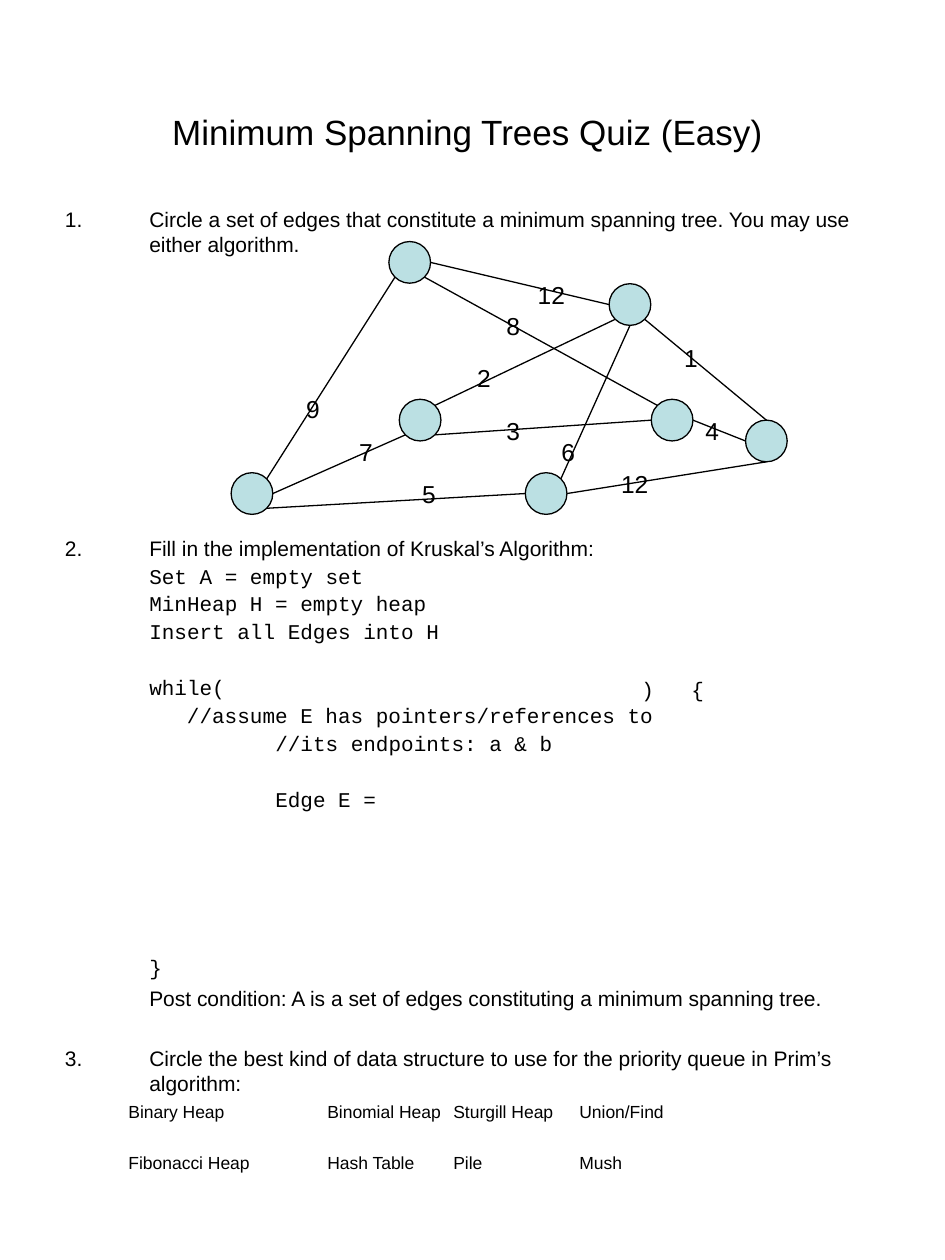
from dataclasses import dataclass
from math import cos, pi, sin

from lxml import etree
from pptx import Presentation
from pptx.dml.color import RGBColor
from pptx.enum.shapes import MSO_CONNECTOR, MSO_SHAPE
from pptx.enum.text import MSO_ANCHOR, PP_ALIGN
from pptx.oxml.ns import qn
from pptx.util import Cm, Pt

OVAL = MSO_SHAPE.OVAL
LINE = MSO_CONNECTOR.STRAIGHT
TOP, MIDDLE = MSO_ANCHOR.TOP, MSO_ANCHOR.MIDDLE
LEFT, CENTER = PP_ALIGN.LEFT, PP_ALIGN.CENTER


@dataclass(frozen=True)
class Theme:
    ink: RGBColor = RGBColor(0, 0, 0)
    node: RGBColor = RGBColor(0xBB, 0xE0, 0xE3)
    sans: str = "Arial"
    mono: str = "Courier New"
    title: float = 20
    weight: float = 14
    body: float = 12
    choice: float = 10
    line: float = 0.75


@dataclass(frozen=True)
class Box:
    x: float
    y: float
    w: float
    h: float


@dataclass(frozen=True)
class Node:
    x: float
    y: float


@dataclass(frozen=True)
class Edge:
    start: str
    out: int
    end: str
    into: int
    weight: str
    x: float
    y: float


@dataclass(frozen=True)
class Para:
    text: str
    gap: float = 3
    number: int = 0
    code: bool = False
    indent: float = 1.7


THEME = Theme()
RADIUS = 0.42
HANG = 1.7
DEEP = HANG + 2.54

NODES = {
    "A": Node(5.08, 9.95),
    "B": Node(8.47, 8.47),
    "C": Node(15.45, 8.89),
    "D": Node(8.26, 5.29),
    "E": Node(11.01, 9.95),
    "F": Node(12.7, 6.14),
    "G": Node(13.55, 8.47),
}

EDGES = [
    Edge("A", 7, "D", 3, "9", 5.92, 7.82),
    Edge("A", 6, "B", 3, "7", 6.99, 8.69),
    Edge("A", 5, "E", 2, "5", 8.26, 9.53),
    Edge("B", 7, "F", 3, "2", 9.37, 7.19),
    Edge("B", 5, "G", 2, "3", 9.96, 8.26),
    Edge("G", 6, "C", 2, "4", 13.97, 8.26),
    Edge("D", 6, "F", 2, "12", 10.59, 5.51),
    Edge("E", 7, "F", 4, "6", 11.07, 8.69),
    Edge("D", 5, "G", 1, "8", 9.96, 6.15),
    Edge("E", 6, "C", 4, "12", 12.27, 9.32),
    Edge("C", 0, "F", 5, "1", 13.54, 6.78),
]

PARAS = [
    Para("Circle a set of edges that constitute a minimum spanning tree. "
         "You may use either algorithm.", gap=0, number=1),
    Para("Fill in the implementation of Kruskal’s Algorithm:", gap=159, number=2),
    Para("Set A = empty set", code=True),
    Para("MinHeap H = empty heap", code=True),
    Para("Insert all Edges into H", code=True),
    Para("while(", gap=19, code=True),
    Para("//assume E has pointers/references to", code=True, indent=HANG + 0.76),
    Para("//its endpoints: a & b", code=True, indent=DEEP),
    Para("Edge E =", gap=19, code=True, indent=DEEP),
    Para("}", gap=83, code=True),
    Para("Post condition: A is a set of edges constituting a minimum spanning tree."),
    Para("Circle the best kind of data structure to use for the priority queue "
         "in Prim’s algorithm:", gap=20, number=3),
]

CHOICES = [
    ["Binary Heap", "Binomial Heap", "Sturgill Heap", "Union/Find"],
    ["Fibonacci Heap", "Hash Table", "Pile", "Mush"],
]
COLS = [2.59, 6.6, 9.14, 11.68]
ROWS = [22.2, 23.23]


def style(para, size: float, font: str) -> None:
    for run in para.runs:
        run.font.size = Pt(size)
        run.font.name = font
        run.font.color.rgb = THEME.ink


def add_text(slide, box: Box, text: str, size: float, font: str = THEME.sans,
             pad: tuple = (0, 0), wrap: bool = False, align=LEFT, anchor=TOP):
    shape = slide.shapes.add_textbox(Cm(box.x), Cm(box.y), Cm(box.w), Cm(box.h))
    frame = shape.text_frame
    frame.margin_left = frame.margin_right = Cm(pad[0])
    frame.margin_top = frame.margin_bottom = Cm(pad[1])
    frame.word_wrap = wrap
    frame.vertical_anchor = anchor
    frame.text = text
    frame.paragraphs[0].alignment = align
    style(frame.paragraphs[0], size, font)
    return frame


def add_body(slide) -> None:
    frame = add_text(slide, Box(1.06, 3.39, 17.15, 20.95), "", THEME.body,
                     pad=(0.25, 0.13), wrap=True)
    frame.margin_top = Cm(0.78)
    for index, item in enumerate(PARAS):
        para = frame.add_paragraph() if index else frame.paragraphs[0]
        para.text = item.text
        para.space_before = Pt(item.gap)
        if item.code:
            para.line_spacing = 0.9
        style(para, THEME.body, THEME.mono if item.code else THEME.sans)
        props = para._p.get_or_add_pPr()
        props.set("marL", str(Cm(item.indent)))
        props.set("indent", str(Cm(-HANG) if item.number else 0))
        if item.number:
            etree.SubElement(props, qn("a:buFont"), typeface=THEME.sans)
            etree.SubElement(props, qn("a:buAutoNum"), type="arabicPeriod",
                             startAt=str(item.number))


def add_node(slide, node: Node) -> None:
    shape = slide.shapes.add_shape(OVAL, Cm(node.x - RADIUS), Cm(node.y - RADIUS),
                                   Cm(2 * RADIUS), Cm(2 * RADIUS))
    shape.shadow.inherit = False
    shape.fill.solid()
    shape.fill.fore_color.rgb = THEME.node
    shape.line.color.rgb = THEME.ink
    shape.line.width = Pt(THEME.line)


def rim(node: Node, site: int) -> tuple:
    angle = site * pi / 4
    return Cm(node.x - RADIUS * sin(angle)), Cm(node.y - RADIUS * cos(angle))


def add_edge(slide, edge: Edge) -> None:
    line = slide.shapes.add_connector(LINE, *rim(NODES[edge.start], edge.out),
                                      *rim(NODES[edge.end], edge.into))
    line.line.color.rgb = THEME.ink
    line.line.width = Pt(THEME.line)
    etree.SubElement(line._element.spPr, qn("a:effectLst"))


def main() -> None:
    deck = Presentation()
    deck.slide_width, deck.slide_height = Cm(19.05), Cm(25.4)
    slide = deck.slides.add_slide(deck.slide_layouts[6])
    add_body(slide)
    add_text(slide, Box(0.85, 2.12, 17.15, 1.08), "Minimum Spanning Trees Quiz (Easy)",
             THEME.title, pad=(0.25, 0.13), wrap=True, align=CENTER, anchor=MIDDLE)
    for node in NODES.values():
        add_node(slide, node)
    for edge in EDGES:
        add_edge(slide, edge)
    for edge in EDGES:
        width = 0.52 + 0.27 * len(edge.weight)
        add_text(slide, Box(edge.x, edge.y, width, 0.86), edge.weight,
                 THEME.weight, pad=(0.25, 0.13))
    for x, mark in ((12.93, ")"), (13.94, "{")):
        add_text(slide, Box(x, 13.64, 0.26, 0.48), mark, THEME.body, THEME.mono)
    for y, row in zip(ROWS, CHOICES):
        for x, name in zip(COLS, row):
            add_text(slide, Box(x, y, 2.5, 0.41), name, THEME.choice, wrap=True)
    deck.save("out.pptx")


if __name__ == "__main__":
    main()
